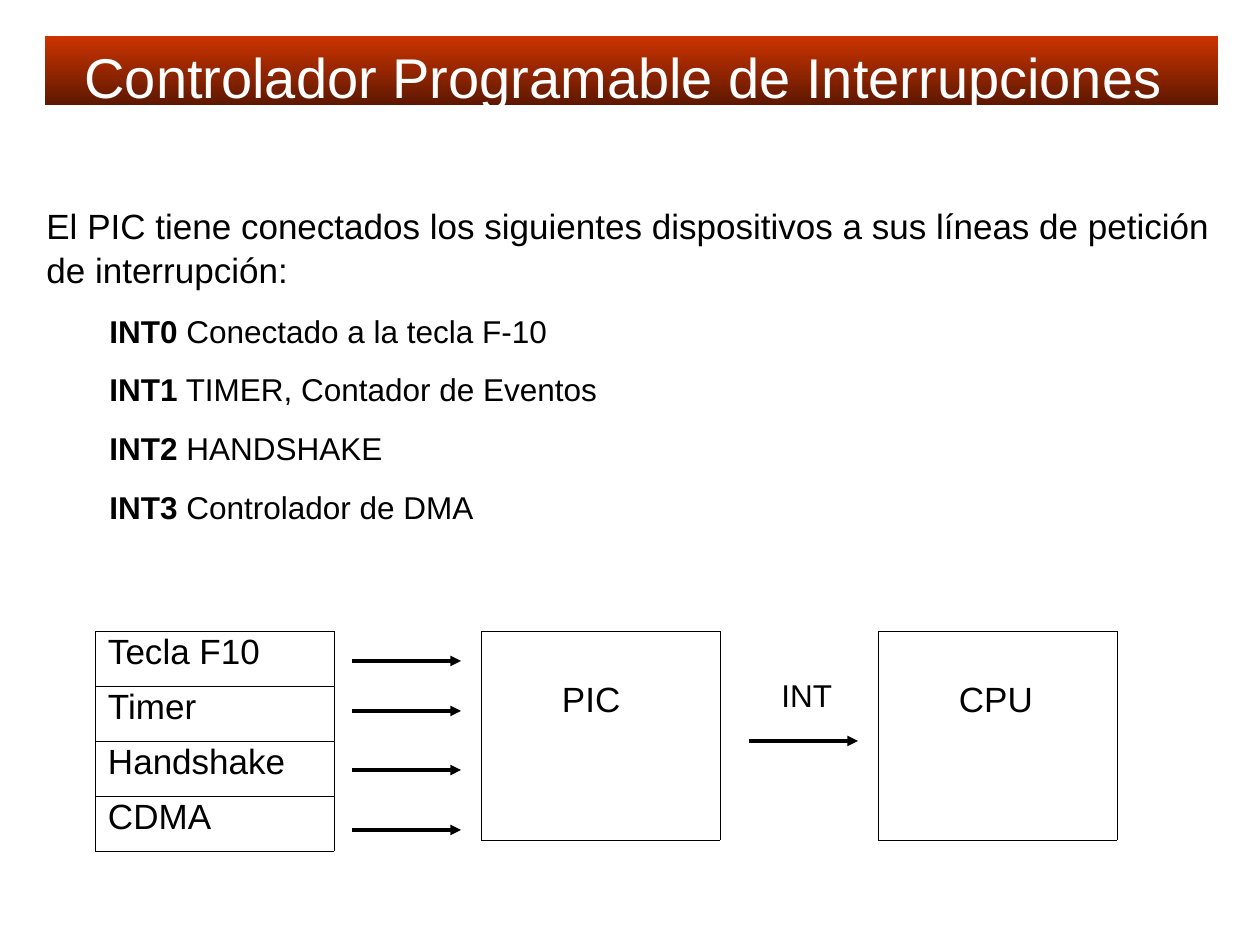
import lxml.etree
import pptx
import pptx.dml.color
import pptx.enum.dml
import pptx.enum.shapes
import pptx.enum.text
import pptx.oxml.ns
import pptx.util

PX = pptx.util.Inches(1) / 126
COLORS = {"ink": "000000", "white": "FFFFFF", "bar_top": "CC3300", "bar_bottom": "5E1800"}
qn = pptx.oxml.ns.qn


def px(*lengths):
    return [pptx.util.Emu(round(length * PX)) for length in lengths]


def add_text(para, text, size, color="ink", bold=False):
    span = para.add_run()
    span.text = text
    font_format = {"name": "Arial", "size": pptx.util.Pt(size), "bold": bold}
    for name, value in font_format.items():
        setattr(span.font, name, value)
    span.font.color.rgb = pptx.dml.color.RGBColor.from_string(COLORS[color])


deck = pptx.Presentation()
deck.slide_width, deck.slide_height = px(1260, 945)
page = deck.slides.add_slide(deck.slide_layouts[5])

title = page.shapes.title
title.left, title.top, title.width, title.height = px(45, 36, 1173, 69)
title.fill.gradient()
title.fill.gradient_angle = 270
for stop, name, position in zip(title.fill.gradient_stops, ("bar_top", "bar_bottom"), (0, 1)):
    stop.color.rgb = pptx.dml.color.RGBColor.from_string(COLORS[name])
    stop.position = position
title_format = {
    "word_wrap": True,
    "auto_size": pptx.enum.text.MSO_AUTO_SIZE.NONE,
    "vertical_anchor": pptx.enum.text.MSO_ANCHOR.TOP,
}
for name, value in title_format.items():
    setattr(title.text_frame, name, value)
para = title.text_frame.paragraphs[0]
para.alignment = pptx.enum.text.PP_ALIGN.CENTER
add_text(para, "Controlador Programable de Interrupciones ", 32, "white")

body = page.shapes.add_textbox(*px(34, 197, 1226, 325)).text_frame
body.word_wrap = True
para = body.paragraphs[0]
para.line_spacing = 1.04
add_text(para, "El PIC tiene conectados los siguientes dispositivos a sus líneas de petición de interrupción:", 20)
interrupts = [
    ("INT0", "Conectado a la tecla F-10"),
    ("INT1", "TIMER, Contador de Eventos"),
    ("INT2", "HANDSHAKE"),
    ("INT3", "Controlador de DMA"),
]
for line_name, device in interrupts:
    para = body.add_paragraph()
    para.level = 1
    para.line_spacing = 1.04
    para.space_before = pptx.util.Pt(11.2)
    margin, indent = px(102, -39)
    properties = para._p.get_or_add_pPr()
    properties.set("marL", str(margin))
    properties.set("indent", str(indent))
    add_text(para, line_name, 18, bold=True)
    add_text(para, f" {device}", 18)

blocks = [
    (95, 55, 13, 6, ["Tecla F10", "Timer", "Handshake", "CDMA"]),
    (481, 209, 81, 54, ["PIC"]),
    (878, 209, 81, 54, ["CPU"]),
]
for left, row_height, margin_left, margin_top, labels in blocks:
    frame = page.shapes.add_table(len(labels), 1, *px(left, 631, 239, row_height * len(labels)))
    table = frame.table
    table.first_row = False
    table.horz_banding = False
    for row, label in enumerate(labels):
        cell = table.cell(row, 0)
        cell.fill.background()
        cell.margin_left, cell.margin_top = px(margin_left, margin_top)
        para = cell.text_frame.paragraphs[0]
        para.line_spacing = 0.87
        add_text(para, label, 20)
        for position, side in enumerate(("a:lnL", "a:lnR", "a:lnT", "a:lnB")):
            border = lxml.etree.Element(qn(side), w=str(pptx.util.Pt(0.23)))
            solid = lxml.etree.SubElement(border, qn("a:solidFill"))
            lxml.etree.SubElement(solid, qn("a:srgbClr"), val=COLORS["ink"])
            cell._tc.get_or_add_tcPr().insert(position, border)

arrows = [(352, 661), (352, 711), (352, 770), (352, 830), (749, 741)]
for left, height in arrows:
    arrow = page.shapes.add_connector(
        pptx.enum.shapes.MSO_CONNECTOR.STRAIGHT, *px(left, height, left + 109, height)
    )
    arrow.line.width = pptx.util.Pt(2)
    arrow.line.color.rgb = pptx.dml.color.RGBColor.from_string(COLORS["ink"])
    lxml.etree.SubElement(arrow.line._get_or_add_ln(), qn("a:tailEnd"), type="triangle")
    lxml.etree.SubElement(arrow._element.spPr, qn("a:effectLst"))

signal = page.shapes.add_textbox(*px(769, 670, 76, 50)).text_frame
signal.word_wrap = False
add_text(signal.paragraphs[0], "INT", 18)

deck.save("out.pptx")
